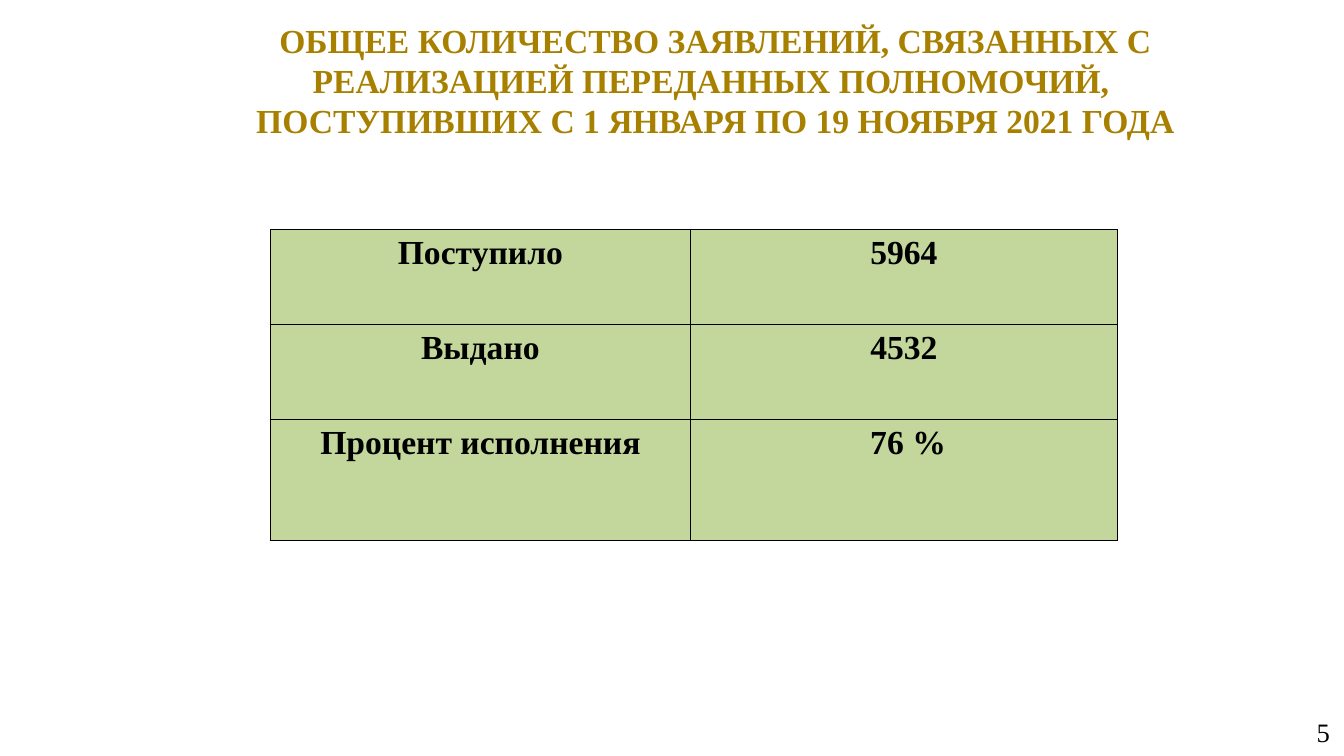
"""Build the slide with the count of applications received and issued in 2021."""
from copy import deepcopy

from lxml.etree import SubElement
from pptx import Presentation
from pptx.dml.color import RGBColor
from pptx.enum.text import MSO_ANCHOR as Anchor, MSO_AUTO_SIZE as AutoSize, PP_ALIGN as Align
from pptx.oxml.ns import qn
from pptx.util import Inches, Pt

GOLD = RGBColor(0xA8, 0x80, 0x00)
BLACK = RGBColor(0, 0, 0)
GREEN = RGBColor(0xC3, 0xD6, 0x9B)
FONT = "Times New Roman"
FRAME_FORMAT = {
    "word_wrap": True,
    "auto_size": AutoSize.NONE,
    "vertical_anchor": Anchor.MIDDLE,
    "margin_left": Inches(0.13),
    "margin_right": Inches(0.13),
    "margin_top": Inches(0.07),
    "margin_bottom": Inches(0.07),
}
CELL_FORMAT = {
    "margin_left": Inches(0.13),
    "margin_right": Inches(0.13),
    "margin_top": Inches(0.05),
    "margin_bottom": Inches(0.05),
    "vertical_anchor": Anchor.TOP,
}
COLUMNS = [4.17, 4.23]
ROWS = [0.94, 0.94, 1.2]
FIGURES = [("Поступило", "5964"), ("Выдано", "4532"), ("Процент исполнения", " 76 %")]


def apply(target, values):
    for name, value in values.items():
        setattr(target, name, value)


def write(frame, text, align, size, bold, color):
    frame.text = text
    para = frame.paragraphs[0]
    para.alignment = align
    for span in para.runs:
        apply(span.font, {"name": FONT, "size": Pt(size), "bold": bold})
        span.font.color.rgb = color
    return para


deck = Presentation()
deck.slide_width, deck.slide_height = Inches(13.33), Inches(7.5)
page = deck.slides.add_slide(deck.slide_layouts[5])

title = page.shapes.title
apply(title, {"left": Inches(1.38), "top": Inches(0.3),
              "width": Inches(11.43), "height": Inches(0.99)})
apply(title.text_frame, FRAME_FORMAT)
heading = write(
    title.text_frame,
    "ОБЩЕЕ КОЛИЧЕСТВО ЗАЯВЛЕНИЙ, СВЯЗАННЫХ С РЕАЛИЗАЦИЕЙ ПЕРЕДАННЫХ ПОЛНОМОЧИЙ, \v"
    "ПОСТУПИВШИХ С 1 ЯНВАРЯ ПО 19 НОЯБРЯ 2021 ГОДА",
    Align.CENTER, 24, True, GOLD)
line_break = heading._p.find(qn("a:br"))
line_break.append(deepcopy(heading.runs[0]._r.rPr))

number = page.shapes.add_textbox(Inches(10.22), Inches(7.07), Inches(3.1), Inches(0.39))
apply(number.text_frame, FRAME_FORMAT)
write(number.text_frame, "5", Align.RIGHT, 19, False, BLACK)

table = page.shapes.add_table(len(ROWS), len(COLUMNS), Inches(2.68), Inches(2.28),
                              Inches(sum(COLUMNS)), Inches(sum(ROWS))).table
apply(table, {"first_row": False, "horz_banding": False})
for column, width in zip(table.columns, COLUMNS):
    column.width = Inches(width)
for row, height, texts in zip(table.rows, ROWS, FIGURES):
    row.height = Inches(height)
    for cell, text in zip(row.cells, texts):
        apply(cell, CELL_FORMAT)
        write(cell.text_frame, text, Align.CENTER, 24, True, BLACK)
        for side in ("a:lnL", "a:lnR", "a:lnT", "a:lnB"):
            border = SubElement(cell._tc.get_or_add_tcPr(), qn(side), w=str(Pt(0.96)))
            paint = SubElement(border, qn("a:solidFill"))
            SubElement(paint, qn("a:srgbClr"), val=str(BLACK))
        cell.fill.solid()
        cell.fill.fore_color.rgb = GREEN

deck.save("out.pptx")
